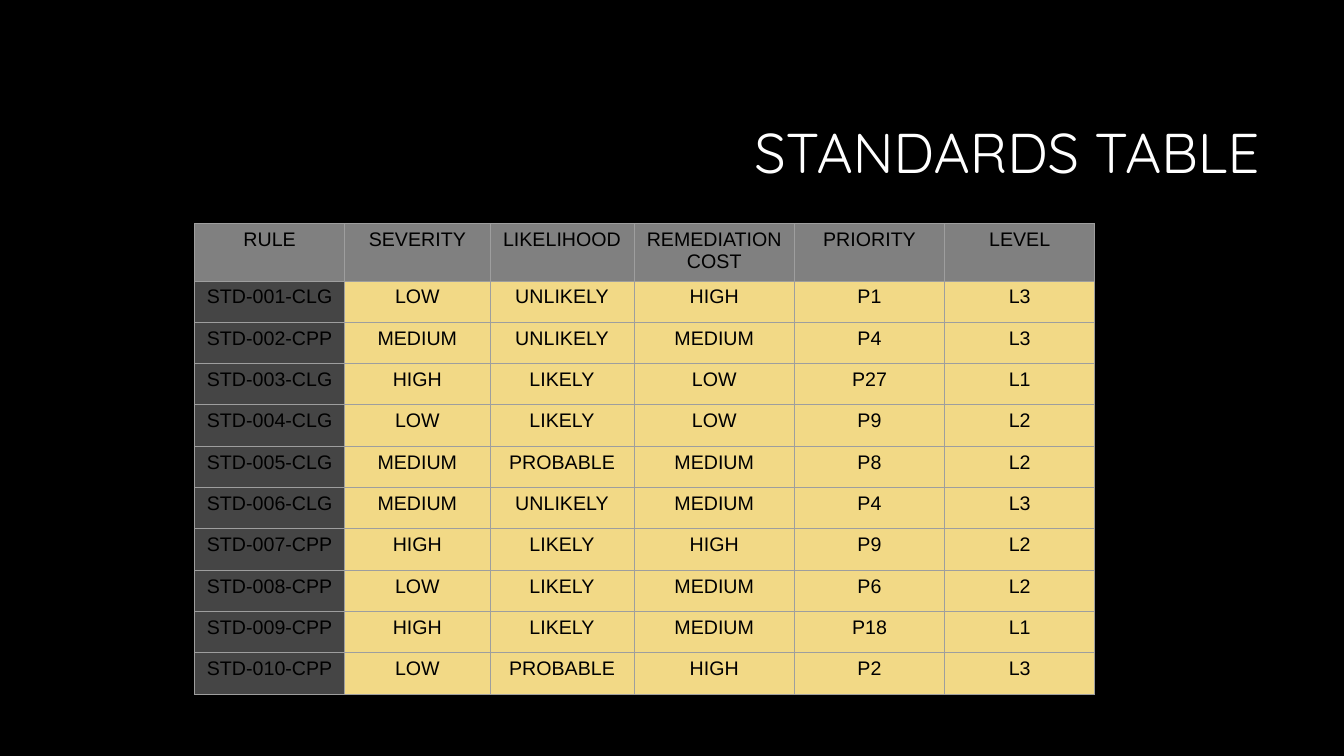
import pptx
import pptx.dml.color
import pptx.enum.text
import pptx.oxml
import pptx.oxml.ns
import pptx.util
from pptx.util import Inches

COLOURS = {
    "background": "000000",
    "title": "FFFFFF",
    "text": "000000",
    "header": "808080",
    "rule": "454545",
    "value": "F2D986",
    "border": "9E9E9E",
}
COLUMN_WIDTHS = [1.49, 1.44, 1.43, 1.59, 1.49, 1.49]
ROW_HEIGHT = 0.41
STANDARDS = [
    ["RULE", "SEVERITY", "LIKELIHOOD", "REMEDIATION COST", "PRIORITY", "LEVEL"],
    ["STD-001-CLG", "LOW", "UNLIKELY", "HIGH", "P1", "L3"],
    ["STD-002-CPP", "MEDIUM", "UNLIKELY", "MEDIUM", "P4", "L3"],
    ["STD-003-CLG", "HIGH", "LIKELY", "LOW", "P27", "L1"],
    ["STD-004-CLG", "LOW", "LIKELY", "LOW", "P9", "L2"],
    ["STD-005-CLG", "MEDIUM", "PROBABLE", "MEDIUM", "P8", "L2"],
    ["STD-006-CLG", "MEDIUM", "UNLIKELY", "MEDIUM", "P4", "L3"],
    ["STD-007-CPP", "HIGH", "LIKELY", "HIGH", "P9", "L2"],
    ["STD-008-CPP", "LOW", "LIKELY", "MEDIUM", "P6", "L2"],
    ["STD-009-CPP", "HIGH", "LIKELY", "MEDIUM", "P18", "L1"],
    ["STD-010-CPP", "LOW", "PROBABLE", "HIGH", "P2", "L3"],
]


def fill_solid(fill, colour):
    fill.solid()
    fill.fore_color.rgb = pptx.dml.color.RGBColor.from_string(COLOURS[colour])


def write_text(frame, text, *, font, size, colour, align, spacing=None):
    para = frame.paragraphs[0]
    para.alignment = align
    para.line_spacing = spacing
    span = para.add_run()
    span.text = text
    span.font.name = font
    span.font.size = pptx.util.Pt(size)
    fill_solid(span.font.fill, colour)


def add_title(page, text):
    box = page.shapes.add_textbox(Inches(3.17), Inches(0.84), Inches(9.42), Inches(1.41))
    frame = box.text_frame
    frame.word_wrap = True
    frame.vertical_anchor = pptx.enum.text.MSO_ANCHOR.MIDDLE
    write_text(frame, text, font="Quicksand", size=40, colour="title",
               align=pptx.enum.text.PP_ALIGN.RIGHT, spacing=0.9)


def add_borders(cell, colour, width):
    """Draw all four sides; the lines must stand before the fill in the cell's XML."""
    properties = cell._tc.get_or_add_tcPr()
    for position, side in enumerate(("lnL", "lnR", "lnT", "lnB")):
        line = pptx.oxml.parse_xml(
            f'<a:{side} {pptx.oxml.ns.nsdecls("a")} w="{pptx.util.Pt(width)}">'
            f'<a:solidFill><a:srgbClr val="{COLOURS[colour]}"/></a:solidFill></a:{side}>'
        )
        properties.insert(position, line)


def cell_colour(row, column):
    if row == 0:
        return "header"
    return "rule" if column == 0 else "value"


def add_standards_table(page):
    table = page.shapes.add_table(
        len(STANDARDS), len(COLUMN_WIDTHS), Inches(1.93), Inches(2.22),
        Inches(sum(COLUMN_WIDTHS)), Inches(ROW_HEIGHT * len(STANDARDS)),
    ).table
    table.horz_banding = False
    table.first_row = False
    for column, width in zip(table.columns, COLUMN_WIDTHS):
        column.width = Inches(width)
    for row, values in enumerate(STANDARDS):
        for column, value in enumerate(values):
            cell = table.cell(row, column)
            fill_solid(cell.fill, cell_colour(row, column))
            add_borders(cell, "border", 0.75)
            write_text(cell.text_frame, value, font="Arial", size=14, colour="text",
                       align=pptx.enum.text.PP_ALIGN.CENTER)


def main():
    deck = pptx.Presentation()
    deck.slide_width = Inches(13.33)
    deck.slide_height = Inches(7.5)
    page = deck.slides.add_slide(deck.slide_layouts[6])
    fill_solid(page.background.fill, "background")
    add_title(page, "STANDARDS TABLE")
    add_standards_table(page)
    deck.save("out.pptx")


if __name__ == "__main__":
    main()
